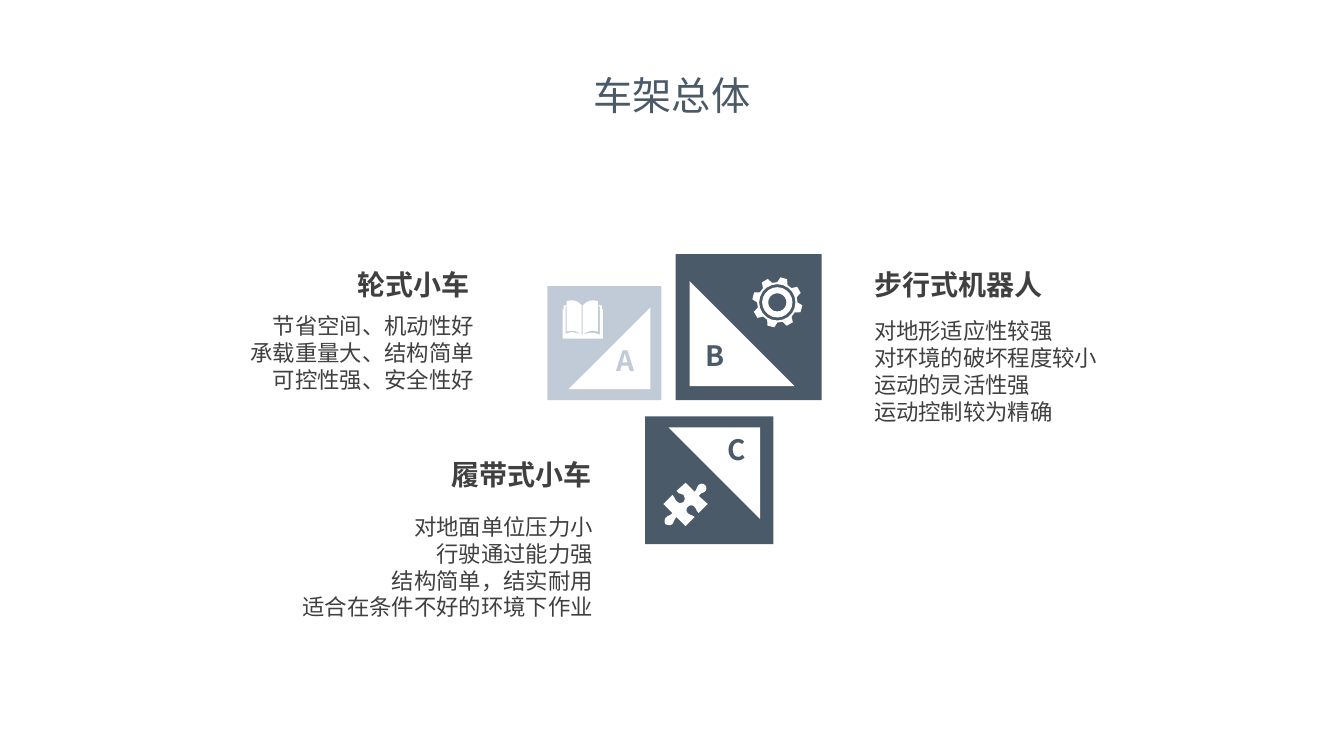
from dataclasses import dataclass
from math import cos, pi, sin

from lxml import etree
from pptx import Presentation
from pptx import util as u
from pptx.dml.color import RGBColor
from pptx.enum import shapes, text
from pptx.oxml import ns

FONT = "Noto Sans CJK SC"
COLOURS = {"slate": "4A5A69", "mist": "C1CBD7", "white": "FFFFFF", "ink": "404040"}
LEFT, CENTRE, RIGHT = text.PP_ALIGN.LEFT, text.PP_ALIGN.CENTER, text.PP_ALIGN.RIGHT
UNITS_PER_INCH = 1000


@dataclass
class Tile:
    """A square with a white corner triangle and a letter."""
    letter: str
    colour: str
    square: tuple[float, float, float]
    triangle: tuple[float, float, float]
    turn: int
    letter_at: tuple[float, float]


@dataclass
class Topic:
    """A heading with its list of properties."""
    heading: str
    lines: list[str]
    heading_at: tuple[float, float]
    lines_at: tuple[float, float]
    align: text.PP_ALIGN


TILES = [
    Tile("A", "mist", (5.43, 2.84, 1.13), (5.64, 3.05, 0.81), 270, (5.95, 3.36)),
    Tile("B", "slate", (6.7, 2.52, 1.45), (6.84, 2.79, 1.04), 0, (6.84, 3.31)),
    Tile("C", "slate", (6.4, 4.13, 1.27), (6.63, 4.24, 0.91), 180, (7.05, 4.24)),
]
TOPICS = [
    Topic("轮式小车", ["节省空间、机动性好", "承载重量大、结构简单", "可控性强、安全性好"],
          (1.57, 2.6), (1.61, 3.05), RIGHT),
    Topic("履带式小车", ["对地面单位压力小", "行驶通过能力强", "结构简单，结实耐用", "适合在条件不好的环境下作业"],
          (2.78, 4.49), (2.79, 5.04), RIGHT),
    Topic("步行式机器人", ["对地形适应性较强", "对环境的破坏程度较小", "运动的灵活性强", "运动控制较为精确"],
          (8.57, 2.6), (8.57, 3.1), LEFT),
]
BOOK = [
    (5.77, 3.32), (5.78, 3.32), (5.85, 3.3, 5.88, 3.29, 5.95, 3.32), (5.95, 3.04),
    (5.93, 3.04), (5.93, 3.29), (5.89, 3.27, 5.83, 3.28, 5.78, 3.32), (5.78, 3.03),
    (5.81, 3, 5.84, 2.98, 5.88, 2.98), (5.89, 2.98, 5.91, 2.98, 5.93, 2.99),
    (5.93, 3.03), (5.97, 3.03), (5.97, 3.07), (5.98, 3.07), (5.98, 3.36),
    (5.58, 3.36), (5.58, 3.07), (5.59, 3.07), (5.59, 3.03), (5.62, 3.03),
    (5.62, 2.99), (5.65, 2.98, 5.66, 2.98, 5.68, 2.98),
    (5.72, 2.98, 5.74, 3, 5.77, 3.03), (5.77, 3.32),
    (5.72, 3.28, 5.67, 3.27, 5.62, 3.29), (5.62, 3.04), (5.61, 3.04), (5.61, 3.31),
    (5.67, 3.28, 5.71, 3.3, 5.77, 3.32),
]
PUZZLE = [
    (6.99, 4.81), (7.01, 4.82, 7.01, 4.85, 7, 4.87), (6.98, 4.9, 6.95, 4.88, 6.93, 4.92),
    (7.02, 5), (6.93, 5.09), (6.9, 5.07, 6.91, 5.04, 6.88, 5.02),
    (6.87, 5.01, 6.84, 5.01, 6.82, 5.03), (6.81, 5.04, 6.8, 5.07, 6.82, 5.09),
    (6.85, 5.12, 6.86, 5.1, 6.89, 5.13), (6.8, 5.22), (6.71, 5.13),
    (6.68, 5.16, 6.69, 5.17, 6.67, 5.2), (6.65, 5.22, 6.62, 5.21, 6.6, 5.2),
    (6.59, 5.18, 6.59, 5.16, 6.6, 5.14), (6.62, 5.11, 6.65, 5.12, 6.67, 5.09),
    (6.58, 5), (6.67, 4.91), (6.7, 4.94, 6.69, 4.96, 6.72, 4.98),
    (6.74, 5, 6.76, 4.99, 6.78, 4.98), (6.79, 4.97, 6.8, 4.94, 6.78, 4.91),
    (6.75, 4.89, 6.74, 4.91, 6.71, 4.87), (6.8, 4.79), (6.89, 4.88),
    (6.92, 4.85, 6.9, 4.84, 6.93, 4.81), (6.95, 4.79, 6.98, 4.8, 6.99, 4.81),
]


def rgb(name: str) -> RGBColor:
    """Look up a named colour."""
    return RGBColor.from_string(COLOURS[name])


def paint(shape, colour: str) -> None:
    """Give a shape a plain fill without line or shadow."""
    shape.shadow.inherit = False
    shape.fill.solid()
    shape.fill.fore_color.rgb = rgb(colour)
    shape.line.fill.background()


def write(box, lines: list[str], size: int, colour: str, align, bold: bool = False,
          wrap: bool = True) -> None:
    """Fill a box with evenly formatted paragraphs."""
    frame = box.text_frame
    frame.text = "\n".join(lines)
    frame.word_wrap = wrap
    frame.auto_size = text.MSO_AUTO_SIZE.SHAPE_TO_FIT_TEXT
    frame.vertical_anchor = text.MSO_ANCHOR.TOP
    for para in frame.paragraphs:
        para.alignment = align
        para.line_spacing = u.Pt(size * 1.2)
        for span in para.runs:
            span.font.size = u.Pt(size)
            span.font.bold = bold
            span.font.color.rgb = rgb(colour)
            span.font.name = FONT
            properties = span.font._element
            etree.SubElement(properties, ns.qn("a:ea")).set("typeface", FONT)


def add_text(page, at: tuple[float, float], width: float, lines: list[str], size: int,
             colour: str, align, bold: bool = False) -> None:
    """Add a text box as tall as its lines."""
    height = 0.1 + len(lines) * size * 1.2 / 72
    box = page.shapes.add_textbox(*map(u.Inches, (*at, width, height)))
    write(box, lines, size, colour, align, bold)


def add_tile(page, tile: Tile) -> None:
    """Draw the square, triangle and letter of a tile."""
    kinds = shapes.MSO_SHAPE
    for kind, (left, top, side), colour, turn in (
            (kinds.RECTANGLE, tile.square, tile.colour, 0),
            (kinds.RIGHT_TRIANGLE, tile.triangle, "white", tile.turn)):
        shape = page.shapes.add_shape(kind, *map(u.Inches, (left, top, side, side)))
        shape.rotation = turn
        paint(shape, colour)
    add_text(page, tile.letter_at, 0.51, [tile.letter], 20, tile.colour, CENTRE, True)


def add_topic(page, topic: Topic) -> None:
    """Write a heading and its lines."""
    add_text(page, topic.heading_at, 3.19, [topic.heading], 20, "ink", topic.align, True)
    add_text(page, topic.lines_at, 3.19, topic.lines, 16, "ink", topic.align)


def trace(steps: list[tuple], parts: int = 3) -> list[tuple[float, float]]:
    """Turn points and cubic curves into a polygon."""
    points = [steps[0]]
    for step in steps[1:]:
        if len(step) == 2:
            points.append(step)
            continue
        (x0, y0), (x1, y1, x2, y2, x3, y3) = points[-1], step
        for t in (part / parts for part in range(1, parts + 1)):
            a, b, c, d = (1 - t) ** 3, 3 * t * (1 - t) ** 2, 3 * t * t * (1 - t), t ** 3
            points.append((a * x0 + b * x1 + c * x2 + d * x3,
                           a * y0 + b * y1 + c * y2 + d * y3))
    return points


def gear_outlines(x: float, y: float) -> list[list[tuple[float, float]]]:
    """Work out eight teeth and three concentric circles."""
    def polar(radius: float, degrees: float) -> tuple[float, float]:
        """Place a point clockwise from the top."""
        angle = degrees * pi / 180
        return x + radius * sin(angle), y - radius * cos(angle)

    corners = ((0.2, -15), (0.25, -8), (0.25, 8), (0.2, 15))
    teeth = [polar(radius, 15 + 45 * tooth + offset)
             for tooth in range(8) for radius, offset in corners]
    circles = [[polar(radius, degrees) for degrees in range(0, 360, 18)]
               for radius in (0.18, 0.15, 0.09)]
    return [teeth, *circles]


def add_icon(page, outlines: list[list[tuple[float, float]]]) -> None:
    """Draw a white icon from one or more closed outlines."""
    first, *others = [[(x * UNITS_PER_INCH, y * UNITS_PER_INCH) for x, y in outline]
                      for outline in outlines]
    builder = page.shapes.build_freeform(*first[0], scale=u.Inches(1) / UNITS_PER_INCH)
    builder.add_line_segments(first[1:])
    for outline in others:
        builder.move_to(*outline[0])
        builder.add_line_segments(outline[1:])
    paint(builder.convert_to_shape(), "white")


def main() -> None:
    """Build the slide and save it."""
    deck = Presentation()
    deck.slide_width, deck.slide_height = u.Inches(13.33), u.Inches(7.5)
    page = deck.slides.add_slide(deck.slide_layouts[5])
    title = page.shapes.title
    title.left, title.top, title.width, title.height = map(u.Inches, (5.78, 0.66, 1.77, 0.57))
    write(title, ["车架总体"], 28, "slate", CENTRE, wrap=False)
    for tile in TILES:
        add_tile(page, tile)
    for outlines in ([trace(BOOK)], [trace(PUZZLE)], gear_outlines(7.71, 3)):
        add_icon(page, outlines)
    for topic in TOPICS:
        add_topic(page, topic)
    deck.save("out.pptx")


if __name__ == "__main__":
    main()
